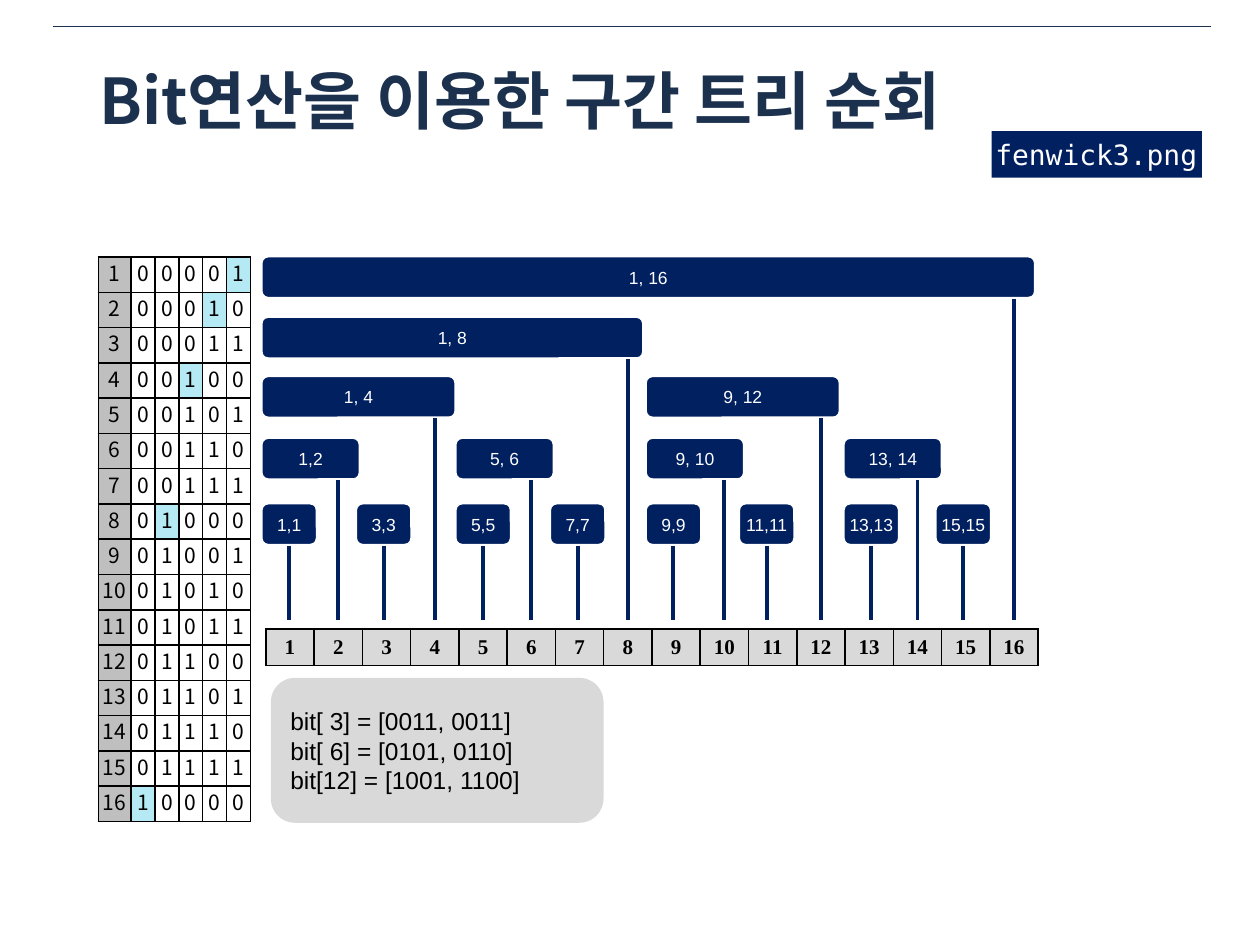
"""Build the slide on walking a Fenwick tree with bit operations."""
from lxml.etree import SubElement
from pptx import Presentation
from pptx.dml.color import RGBColor
from pptx.enum.shapes import MSO_CONNECTOR, MSO_SHAPE
from pptx.enum.text import MSO_ANCHOR as Anchor, PP_ALIGN as Align
from pptx.oxml import parse_xml
from pptx.oxml.ns import nsdecls, qn
from pptx.util import Inches, Pt

TITLE = "Bit연산을 이용한 구간 트리 순회"
FILE_LABEL = "fenwick3.png"
CODE = ["bit[ 3] = [0011, 0011]", "bit[ 6] = [0101, 0110]", "bit[12] = [1001, 1100]"]
LEVELS = [
    (2.03, 6.15, ["1, 16"]),
    (2.51, 3.04, ["1, 8"]),
    (2.98, 1.55, ["1, 4", "9, 12"]),
    (3.47, 0.79, ["1,2", "5, 6", "9, 10", "13, 14"]),
    (3.99, 0.45, ["1,1", "3,3", "5,5", "7,7", "9,9", "11,11", "13,13", "15,15"]),
]
COUNT, BITS = 16, 5
BLOCK_LEFTS = {1: 2.07, 3: 2.82, 5: 3.61, 7: 4.36, 9: 5.12, 11: 5.86, 13: 6.69, 15: 7.42}
BLOCK_HEIGHT, STEM_END = 0.34, 4.92
INDEX_LEFT, INDEX_TOP, INDEX_WIDTH, INDEX_HEIGHT = 2.11, 4.99, 6.13, 0.29
BIT_LEFT, BIT_TOP, NUMBER_WIDTH, BIT_WIDTH, BIT_HEIGHT = 0.78, 2.04, 0.26, 0.19, 0.28

NAVY = RGBColor(0x00, 0x20, 0x60)
INK = RGBColor(0x1C, 0x31, 0x4E)
WHITE = RGBColor(0xFF, 0xFF, 0xFF)
BLACK = RGBColor(0x00, 0x00, 0x00)
LIGHT = RGBColor(0xD9, 0xD9, 0xD9)
GRAY = RGBColor(0xBF, 0xBF, 0xBF)
CYAN = RGBColor(0xB5, 0xE9, 0xF4)
SANS, MONO, KOREAN, SERIF = "Arial", "DejaVu Sans Mono", "Noto Sans CJK KR", "Times New Roman"


def write(frame, text, font, size, color, bold=False, align=Align.LEFT):
    frame.text = text
    for paragraph in frame.paragraphs:
        paragraph.alignment = align
        for run in paragraph.runs:
            run.font.name, run.font.size, run.font.bold = font, Pt(size), bold
            run.font.color.rgb = color
            SubElement(run.font._element, qn("a:ea"), typeface=font)


def set_margins(box, across, down):
    box.margin_left = box.margin_right = Inches(across)
    box.margin_top = box.margin_bottom = Inches(down)


def add_box(slide, kind, place, fill, outline=None):
    box = slide.shapes.add_shape(kind, *map(Inches, place))
    box.shadow.inherit = False
    box.fill.solid()
    box.fill.fore_color.rgb = fill
    if outline is None:
        box.line.fill.background()
    else:
        box.line.color.rgb = outline
        box.line.width = Pt(2)
    box.text_frame.vertical_anchor = Anchor.MIDDLE
    return box


def add_line(slide, ends, color, width):
    line = slide.shapes.add_connector(MSO_CONNECTOR.STRAIGHT, *map(Inches, ends))
    line.line.color.rgb = color
    line.line.width = Pt(width)
    SubElement(line._element.spPr, qn("a:effectLst"))
    return line


def add_grid(slide, left, top, widths, row_height, rows):
    place = (left, top, sum(widths), row_height * len(rows))
    table = slide.shapes.add_table(len(rows), len(widths), *map(Inches, place)).table
    table.first_row = table.horz_banding = False
    for column, width in zip(table.columns, widths):
        column.width = Inches(width)
    for row in table.rows:
        row.height = Inches(row_height)
    return table


def style_cell(cell, text, font, fill, bold=False):
    write(cell.text_frame, text, font, 12, BLACK, bold, Align.CENTER)
    for position, side in enumerate(("lnL", "lnR", "lnT", "lnB")):
        border = parse_xml(
            f'<a:{side} {nsdecls("a")} w="12700"><a:solidFill>'
            f'<a:srgbClr val="{BLACK}"/></a:solidFill></a:{side}>')
        cell._tc.get_or_add_tcPr().insert(position, border)
    if fill is None:
        cell.fill.background()
    else:
        cell.fill.solid()
        cell.fill.fore_color.rgb = fill


def add_heading(slide):
    add_line(slide, (0.42, 0.21, 9.61, 0.21), INK, 0.25)
    title = slide.shapes.add_textbox(*map(Inches, (0.69, 0.4, 8.62, 0.78))).text_frame
    title.word_wrap = True
    title.vertical_anchor = Anchor.MIDDLE
    write(title, TITLE, KOREAN, 36, INK, bold=True)
    label = add_box(slide, MSO_SHAPE.RECTANGLE, (7.87, 1.04, 1.67, 0.37), NAVY).text_frame
    label.word_wrap = False
    set_margins(label, 0.03, 0.05)
    write(label, FILE_LABEL, MONO, 16, WHITE)


def add_tree(slide):
    pitch = INDEX_WIDTH / COUNT
    for top, width, labels in LEVELS:
        for label in labels:
            first, last = map(int, label.split(","))
            left, bottom = BLOCK_LEFTS[first], top + BLOCK_HEIGHT
            block = add_box(slide, MSO_SHAPE.ROUNDED_RECTANGLE,
                            (left, top, width, BLOCK_HEIGHT), NAVY, WHITE)
            set_margins(block.text_frame, 0, 0.04)
            write(block.text_frame, label, SANS, 10, WHITE, align=Align.CENTER)
            is_leaf = first == last
            x = left + width / 2 if is_leaf else INDEX_LEFT + (last - 0.5) * pitch
            stem = add_line(slide, (x, bottom, x, STEM_END), NAVY, 2.25)
            if is_leaf:
                stem.begin_connect(block, 2)


def add_index_row(slide):
    numbers = range(1, COUNT + 1)
    table = add_grid(slide, INDEX_LEFT, INDEX_TOP, [INDEX_WIDTH / COUNT] * COUNT,
                     INDEX_HEIGHT, [numbers])
    for column, number in enumerate(numbers):
        cell = table.cell(0, column)
        set_margins(cell, 0.04, 0.02)
        cell.vertical_anchor = Anchor.MIDDLE
        style_cell(cell, str(number), SERIF, LIGHT, bold=True)


def add_bit_table(slide):
    rows = [[str(number), *f"{number:0{BITS}b}"] for number in range(1, COUNT + 1)]
    table = add_grid(slide, BIT_LEFT, BIT_TOP, [NUMBER_WIDTH] + [BIT_WIDTH] * BITS,
                     BIT_HEIGHT, rows)
    for r, (number, *bits) in enumerate(rows):
        is_power = bits.count("1") == 1
        fills = [GRAY] + [CYAN if is_power and bit == "1" else None for bit in bits]
        for c, (text, fill) in enumerate(zip([number, *bits], fills)):
            cell = table.cell(r, c)
            set_margins(cell, 0, 0)
            style_cell(cell, text, KOREAN, fill)


def add_code(slide):
    panel = add_box(slide, MSO_SHAPE.ROUNDED_RECTANGLE, (2.15, 5.38, 2.64, 1.15), LIGHT)
    write(panel.text_frame, "\n".join(CODE), SANS, 14, BLACK)


def main():
    deck = Presentation()
    deck.slide_width, deck.slide_height = Inches(10), Inches(7.5)
    slide = deck.slides.add_slide(deck.slide_layouts[6])
    for add_part in (add_heading, add_index_row, add_tree, add_code, add_bit_table):
        add_part(slide)
    deck.save("out.pptx")


if __name__ == "__main__":
    main()
